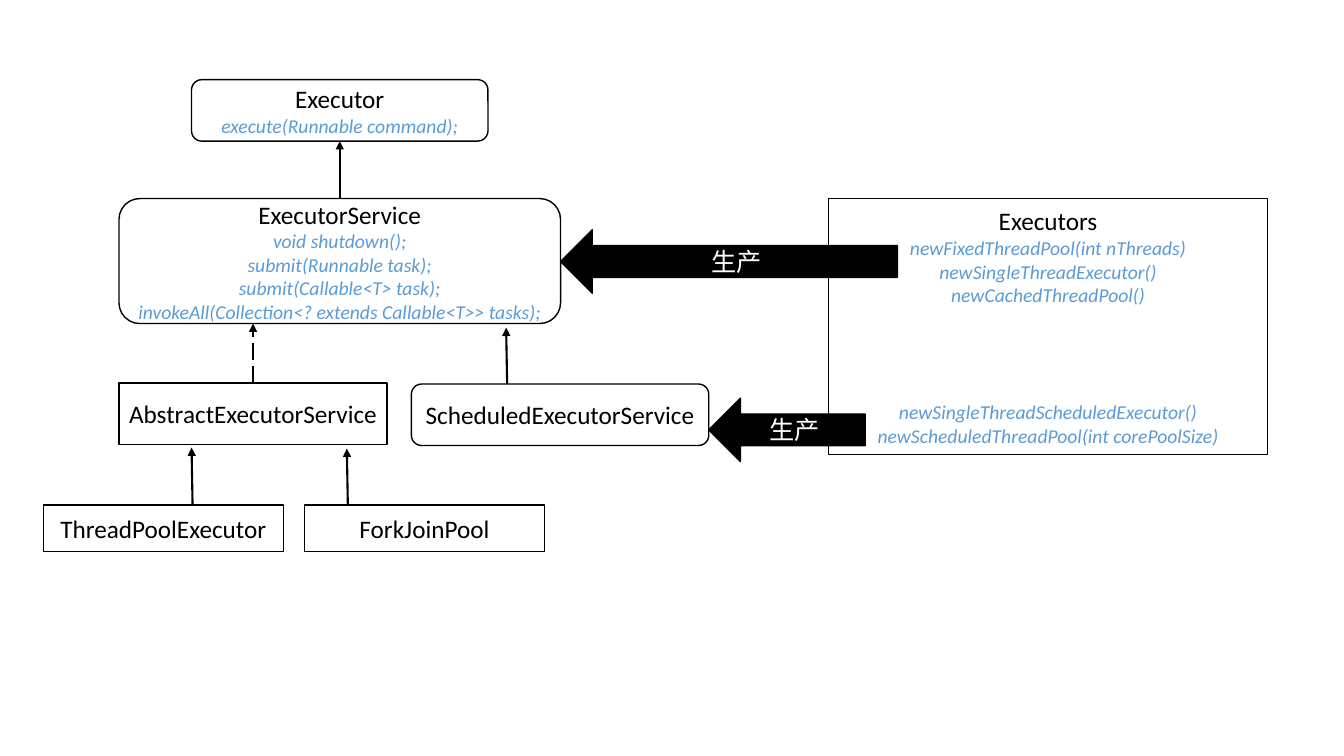
from lxml import etree
from pptx import Presentation
from pptx.dml.color import RGBColor
from pptx.enum.dml import MSO_LINE
from pptx.enum.shapes import MSO_CONNECTOR, MSO_SHAPE
from pptx.enum.text import MSO_ANCHOR, PP_ALIGN
from pptx.oxml.ns import qn
from pptx.util import Inches, Pt

RECT = MSO_SHAPE.RECTANGLE
ROUNDED = MSO_SHAPE.ROUNDED_RECTANGLE
LEFT_ARROW = MSO_SHAPE.LEFT_ARROW
STRAIGHT = MSO_CONNECTOR.STRAIGHT
LONG_DASH = MSO_LINE.LONG_DASH
MIDDLE = MSO_ANCHOR.MIDDLE
CENTER = PP_ALIGN.CENTER
TOP, BOTTOM = 0, 2

FONT = "Calibri"
COLORS = {"black": "000000", "white": "FFFFFF", "method": "5B9BD5"}


def color(name):
    return RGBColor.from_string(COLORS[name])


def add_block(slide, kind, bounds, name, methods=(), fill="white", ink="black"):
    """Add a shape with a centred name and its method signatures below."""
    block = slide.shapes.add_shape(kind, *map(Inches, bounds))
    block.shadow.inherit = False
    block.fill.solid()
    block.fill.fore_color.rgb = color(fill)
    block.line.color.rgb = color("black")
    block.line.width = Pt(1)

    frame = block.text_frame
    frame.word_wrap = True
    frame.vertical_anchor = MIDDLE
    frame.margin_left = frame.margin_right = Inches(0.05)
    for index, text in enumerate((name, *methods)):
        paragraph = frame.add_paragraph() if index else frame.paragraphs[0]
        paragraph.text = text
        paragraph.alignment = CENTER
        paragraph.font.name = FONT
        paragraph.font.size = Pt(14 if index else 18)
        paragraph.font.italic = bool(index)
        paragraph.font.color.rgb = color("method" if index else ink)
    return block


def add_produces_arrow(slide, bounds):
    add_block(slide, LEFT_ARROW, bounds, "生产", fill="black", ink="white")


def add_inheritance(slide, start, end, child=None, parent=None, dash=None):
    """Draw an arrow from a child type up to its parent type."""
    arrow = slide.shapes.add_connector(STRAIGHT, *map(Inches, start + end))
    if child is not None:
        arrow.begin_connect(child, TOP)
    if parent is not None:
        arrow.end_connect(parent, BOTTOM)
    arrow.line.color.rgb = color("black")
    arrow.line.width = Pt(1.5)
    if dash is not None:
        arrow.line.dash_style = dash
    etree.SubElement(arrow.line._get_or_add_ln(), qn("a:tailEnd"), type="triangle")
    etree.SubElement(arrow._element.spPr, qn("a:effectLst"))


def main():
    prs = Presentation()
    prs.slide_width, prs.slide_height = Inches(13.33), Inches(7.5)
    slide = prs.slides.add_slide(prs.slide_layouts[6])

    executor = add_block(slide, ROUNDED, (1.9, 0.79, 2.94, 0.61), "Executor",
                         ["execute(Runnable command);"])
    service = add_block(slide, ROUNDED, (1.18, 1.97, 4.38, 1.24), "ExecutorService", [
        "void shutdown();",
        "submit(Runnable task);",
        "submit(Callable<T> task);",
        "invokeAll(Collection<? extends Callable<T>> tasks);",
    ])
    scheduled = add_block(slide, ROUNDED, (4.08, 3.81, 2.95, 0.61),
                          "ScheduledExecutorService")
    abstract = add_block(slide, RECT, (1.18, 3.8, 2.66, 0.61),
                         "AbstractExecutorService")
    factory = add_block(slide, RECT, (8.22, 1.97, 4.35, 2.54), "Executors", [
        "newFixedThreadPool(int nThreads)",
        "newSingleThreadExecutor()",
        "newCachedThreadPool()",
        "newSingleThreadScheduledExecutor()",
        "newScheduledThreadPool(int corePoolSize)",
    ])
    first_scheduled_method = factory.text_frame.paragraphs[4]
    first_scheduled_method.space_before = Pt(67)

    for left, name in ((0.43, "ThreadPoolExecutor"), (3.02, "ForkJoinPool")):
        add_block(slide, RECT, (left, 5.01, 2.38, 0.46), name)

    add_produces_arrow(slide, (5.56, 2.28, 3.34, 0.63))
    add_produces_arrow(slide, (7.03, 3.95, 1.55, 0.63))

    add_inheritance(slide, (3.37, 1.97), (3.37, 1.4), service, executor)
    add_inheritance(slide, (2.51, 3.8), (2.51, 3.21), abstract, dash=LONG_DASH)
    add_inheritance(slide, (5.03, 3.81), (5.02, 3.25))
    add_inheritance(slide, (1.91, 5.01), (1.9, 4.44))
    add_inheritance(slide, (3.45, 5.02), (3.44, 4.45))

    prs.save("out.pptx")


if __name__ == "__main__":
    main()
